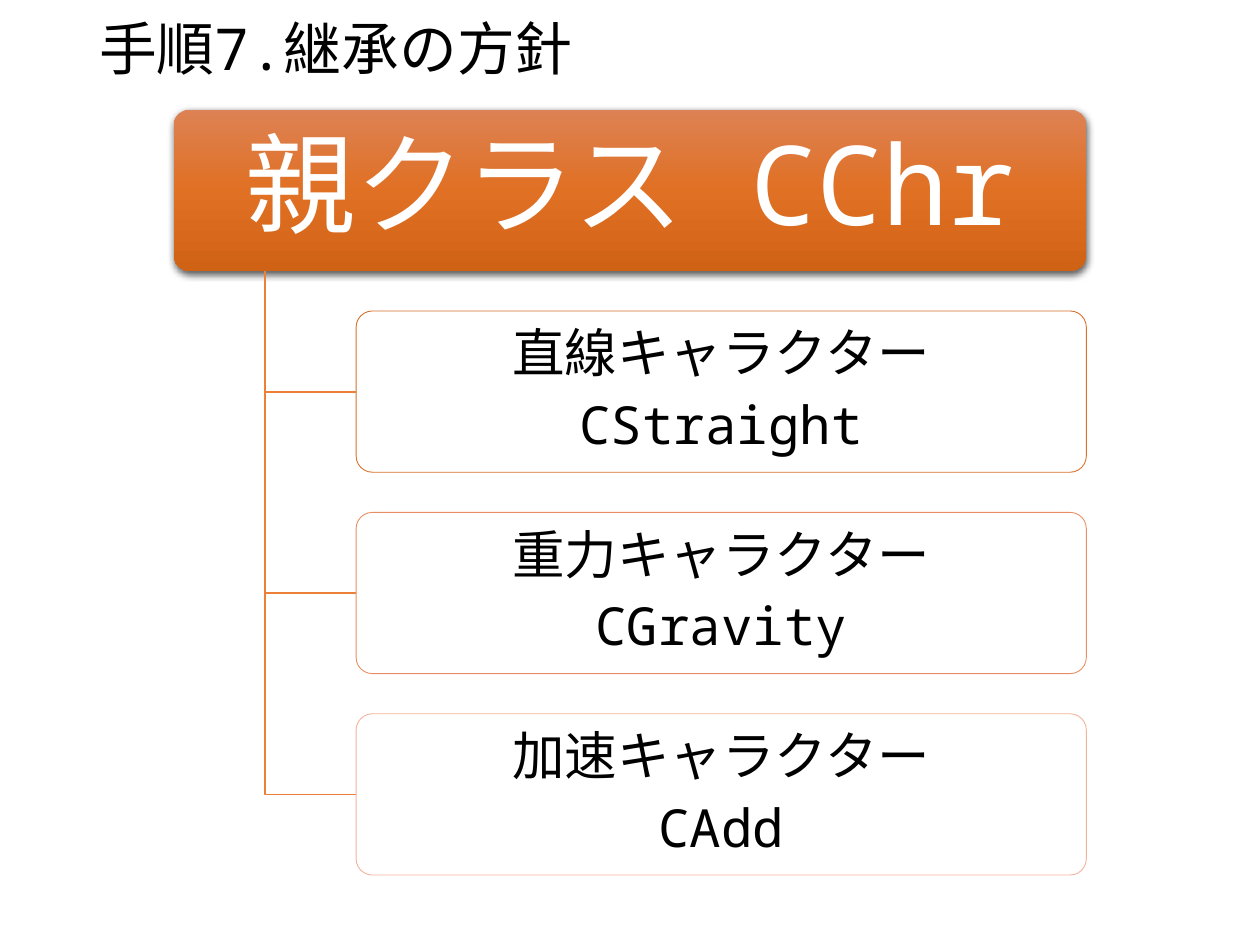
from copy import deepcopy
from lxml import etree
from pptx import Presentation
from pptx.dml.color import RGBColor
from pptx.enum.shapes import MSO_SHAPE
from pptx.enum.text import MSO_ANCHOR, MSO_AUTO_SIZE, PP_ALIGN
from pptx.oxml.ns import qn
from pptx.util import Cm, Pt

ROUNDED = MSO_SHAPE.ROUNDED_RECTANGLE
MIDDLE, NO_FIT = MSO_ANCHOR.MIDDLE, MSO_AUTO_SIZE.NONE
LEFT, CENTER = PP_ALIGN.LEFT, PP_ALIGN.CENTER

# Content
TITLE = "手順7.継承の方針"
PARENT = "親クラス CChr"
CHILDREN = [
    (["直線キャラクター", "CStraight"], "D7712C"),
    (["重力キャラクター", "CGravity"], "E78F62"),
    (["加速キャラクター", "CAdd"], "F3B39B"),
]
COLORS = {"text": "000000", "light": "FFFFFF", "branch": "ED7F39", "shadow": "000000"}
PARENT_GRADIENT = [(0, "DD8254"), (0.5, "E07024"), (1, "D06216")]
FONT = "Noto Sans Mono"

# Layout
PARENT_LEFT, PARENT_TOP, PARENT_WIDTH = Cm(3.5), Cm(2.21), Cm(18.4)
BOX_HEIGHT, PITCH = Cm(3.25), Cm(4.06)
TRUNK_X = PARENT_LEFT + PARENT_WIDTH // 10
CHILD_LEFT = PARENT_LEFT + PARENT_WIDTH // 5
CHILD_WIDTH = PARENT_WIDTH * 4 // 5


def rgb(value):
    return RGBColor.from_string(value)


def write(shape, lines, size, color=COLORS["text"], align=CENTER, after=0,
          margins=(Cm(0.25), Cm(0.13))):
    frame = shape.text_frame
    frame.word_wrap, frame.auto_size = True, NO_FIT
    frame.vertical_anchor = MIDDLE
    frame.margin_left = frame.margin_right = margins[0]
    frame.margin_top = frame.margin_bottom = margins[1]
    for index, line in enumerate(lines):
        para = frame.add_paragraph() if index else frame.paragraphs[0]
        para.alignment, para.line_spacing = align, 0.9
        para.space_before, para.space_after = Pt(0), Pt(after)
        span = para.add_run()
        span.text = line
        span.font.name, span.font.size = FONT, Pt(size)
        span.font.color.rgb = rgb(color)
        etree.SubElement(span.font._element, qn("a:ea"), typeface=FONT)


def add_box(page, left, top, width):
    box = page.shapes.add_shape(ROUNDED, left, top, width, BOX_HEIGHT)
    box.adjustments[0] = 0.1
    box.shadow.inherit = False
    return box


def fill_gradient(box, stops):
    box.fill.gradient()
    box.fill.gradient_angle = 270
    stop_list = box._element.spPr.find(qn("a:gradFill")).find(qn("a:gsLst"))
    stop_list.append(deepcopy(stop_list[-1]))
    for stop, (position, color) in zip(box.fill.gradient_stops, stops):
        stop.position, stop.color.rgb = position, rgb(color)


def add_shadow(box):
    effects = box._element.spPr.find(qn("a:effectLst"))
    shadow = etree.SubElement(effects, qn("a:outerShdw"), blurRad=str(Pt(4.5)),
                              dist=str(Pt(1.5)), dir="5400000", rotWithShape="0")
    color = etree.SubElement(shadow, qn("a:srgbClr"), val=COLORS["shadow"])
    etree.SubElement(color, qn("a:alpha"), val="63000")


def add_branch(page, start_y, end_y):
    builder = page.shapes.build_freeform(TRUNK_X, start_y)
    builder.add_line_segments([(TRUNK_X, end_y), (CHILD_LEFT, end_y)], close=False)
    branch = builder.convert_to_shape()
    branch.fill.background()
    branch.line.color.rgb, branch.line.width = rgb(COLORS["branch"]), Pt(1)
    branch.shadow.inherit = False


def main():
    deck = Presentation()
    deck.slide_width, deck.slide_height = Cm(25.4), Cm(19.05)
    page = deck.slides.add_slide(deck.slide_layouts[5])

    # Title
    title = page.shapes.title
    title.left, title.top, title.width, title.height = Cm(1.75), Cm(0.05), Cm(21.9), Cm(2)
    write(title, [TITLE], 33, align=LEFT)

    # Parent class
    parent = add_box(page, PARENT_LEFT, PARENT_TOP, PARENT_WIDTH)
    fill_gradient(parent, PARENT_GRADIENT)
    add_shadow(parent)
    parent.line.fill.background()
    write(parent, [PARENT], 63, color=COLORS["light"], margins=(Cm(0.33), Cm(0.23)))

    # Child classes, each joined to the trunk
    for row, (lines, outline) in enumerate(CHILDREN, start=1):
        top = PARENT_TOP + row * PITCH
        add_branch(page, PARENT_TOP + BOX_HEIGHT, top + BOX_HEIGHT // 2)
        child = add_box(page, CHILD_LEFT, top, CHILD_WIDTH)
        child.fill.solid()
        child.fill.fore_color.rgb = rgb(COLORS["light"])
        fill_color = child._element.spPr.find(qn("a:solidFill"))[0]
        etree.SubElement(fill_color, qn("a:alpha"), val="90000")
        child.line.color.rgb, child.line.width = rgb(outline), Pt(0.5)
        write(child, lines, 30, after=8.4, margins=(Cm(0.15), Cm(0.1)))

    deck.save("out.pptx")


if __name__ == "__main__":
    main()
